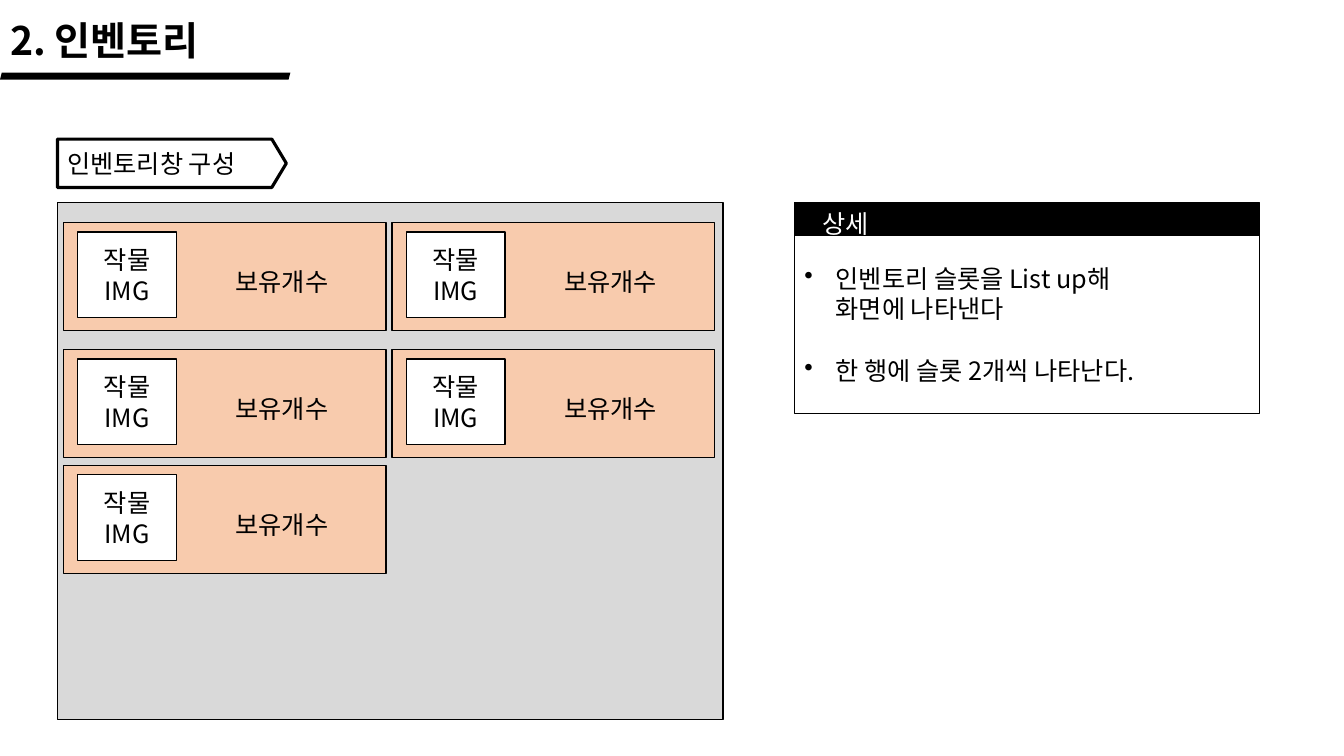
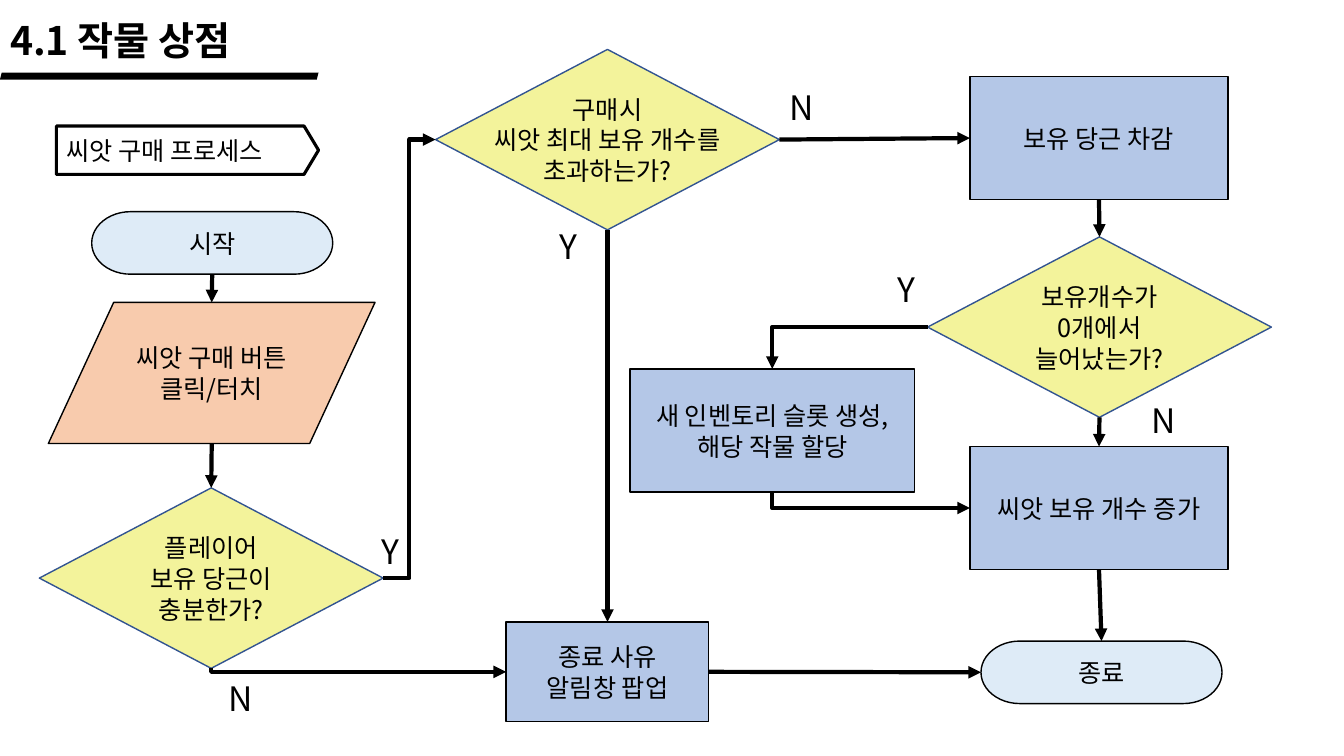
from lxml import etree
from pptx import Presentation
from pptx import util as u
from pptx.dml.color import RGBColor
from pptx.enum import shapes, text
from pptx.oxml.ns import qn

PX = 9144  # 100 px to the inch
FONT = "Noto Sans CJK KR"
HUES = {"ink": "000000", "paper": "FFFFFF", "gray": "D9D9D9", "peach": "F8CBAD",
        "sky": "DEEBF7", "blue": "B4C7E7", "lemon": "F3F39B", "navy": "325491"}
KIND = shapes.MSO_SHAPE
MID, TOP = text.MSO_ANCHOR.MIDDLE, text.MSO_ANCHOR.TOP
LEFT, CENTER = text.PP_ALIGN.LEFT, text.PP_ALIGN.CENTER

# Slide 1
COLS, ROWS, COUNT = (63, 389), (221, 347, 462), 5
CROP, STOCK = "작물 IMG", "보유개수"
DETAIL = "상세"
NOTES = "인벤토리 슬롯을 List up해\v화면에 나타낸다\n한 행에 슬롯 2개씩 나타난다."

# Slide 2: kind -> (shape, fill, line, width, height)
STEPS = {
    "end": (KIND.FLOWCHART_TERMINATOR, "sky", "ink", 239, 62),
    "ask": (KIND.FLOWCHART_DECISION, "lemon", "navy", 341, 179),
    "act": (KIND.RECTANGLE, "blue", "ink", 256, 122),
    "slot": (KIND.RECTANGLE, "blue", "ink", 282, 122),
    "popup": (KIND.RECTANGLE, "blue", "ink", 201, 99),
    "input": (KIND.FLOWCHART_DATA, "peach", "ink", 324, 140),
}
# name -> (kind, left, top, text)
NODES = {
    "start": ("end", 91, 210, "시작"),
    "click": ("input", 48, 300, "씨앗 구매 버튼 클릭/터치"),
    "afford": ("ask", 39, 484, "플레이어\n보유 당근이 충분한가?"),
    "limit": ("ask", 432, 49, "구매시\n씨앗 최대 보유 개수를\n초과하는가?"),
    "pay": ("act", 962, 76, "보유 당근 차감"),
    "first": ("ask", 920, 235, "보유개수가\n0개에서 늘어났는가?"),
    "new": ("slot", 625, 366, "새 인벤토리 슬롯 생성, 해당 작물 할당"),
    "gain": ("act", 962, 443, "씨앗 보유 개수 증가"),
    "warn": ("popup", 502, 617, "종료 사유\n알림창 팝업"),
    "stop": ("end", 973, 636, "종료"),
}
# (from, side, to, side)
FLOWS = [
    ("start", "b", "click", "t"), ("click", "b", "afford", "t"),
    ("afford", "r", "limit", "l"), ("afford", "b", "warn", "l"),
    ("limit", "r", "pay", "l"), ("limit", "b", "warn", "t"),
    ("pay", "b", "first", "t"), ("first", "l", "new", "t"),
    ("first", "b", "gain", "t"), ("new", "b", "gain", "l"),
    ("gain", "b", "stop", "t"), ("warn", "r", "stop", "l"),
]
SIDES = {"t": (0.5, 0), "b": (0.5, 1), "l": (0, 0.5), "r": (1, 0.5)}
FORKS = [("N", 217, 667), ("Y", 369, 522), ("Y", 545, 219),
         ("N", 773, 81), ("N", 1132, 392), ("Y", 880, 262)]


def emu(*vals):
    return [int(v * PX) for v in vals]


def hue(name):
    return RGBColor.from_string(HUES[name])


def write(frame, words, size=18, color="ink", align=CENTER, anchor=MID,
          wrap=True, bold=False, bullet=False):
    frame.text = words
    frame.word_wrap = wrap
    frame.auto_size = text.MSO_AUTO_SIZE.NONE
    frame.vertical_anchor = anchor
    for i, para in enumerate(frame.paragraphs):
        para.alignment = align
        para.line_spacing = u.Pt(round(size * 1.21))
        if bullet:
            props = para._p.get_or_add_pPr()
            props.set("marL", str(31 * PX))
            props.set("indent", str(-31 * PX))
            etree.SubElement(props, qn("a:buChar"), char="•")
            if i:
                para.space_before = u.Pt(22)
        font = para.font
        font.size, font.bold, font.name = u.Pt(size), bold, FONT
        font.color.rgb = hue(color)
        etree.SubElement(para._p.pPr.find(qn("a:defRPr")), qn("a:ea"), typeface=FONT)


def draw(slide, kind, box, fill, line="ink", width=1):
    shape = slide.shapes.add_shape(kind, *emu(*box))
    shape.shadow.inherit = False
    shape.fill.solid()
    shape.fill.fore_color.rgb = hue(fill)
    if line:
        shape.line.color.rgb = hue(line)
        shape.line.width = u.Pt(width)
    else:
        shape.line.fill.background()
    return shape


def label(slide, box, words, **style):
    area = slide.shapes.add_textbox(*emu(*box))
    write(area.text_frame, words, anchor=TOP, **style)


def start(deck, title, bar, tag, place):
    """Add a slide with its title, the bar below it and a pentagon tag."""
    slide = deck.slides.add_slide(deck.slide_layouts[5])
    head = slide.shapes.title
    head.left, head.top, head.width, head.height = emu(0, 11, bar + 20, 57)
    write(head.text_frame, title, size=28, align=LEFT, anchor=TOP, bold=True)
    draw(slide, KIND.PARALLELOGRAM, (0, 72, bar, 7), "ink", None)
    flag = draw(slide, KIND.PENTAGON, place, "paper", width=2.25)
    flag.adjustments[0] = 0.3
    write(flag.text_frame, tag, align=LEFT, wrap=False)
    return slide


def link(slide, a, out, b, into):
    """Draw an arrow from point a to point b, bent if its sides call for it."""
    (ax, ay), (bx, by) = a, b
    flat = out in "lr"
    turn = flat != (into in "lr")
    bent = turn or (flat and abs(ay - by) > 5)
    if turn and not flat:  # down, then right: a flipped elbow turned by 270 degrees
        mx, my, dx, dy = (ax + bx) / 2, (ay + by) / 2, (bx - ax) / 2, (by - ay) / 2
        ax, ay, bx, by = mx + dy, my - dx, mx - dy, my + dx
    kind = shapes.MSO_CONNECTOR.ELBOW if bent else shapes.MSO_CONNECTOR.STRAIGHT
    wire = slide.shapes.add_connector(kind, *emu(ax, ay, bx, by))
    wire.line.color.rgb = hue("ink")
    wire.line.width = u.Pt(3)
    props = wire._element.spPr
    if turn:
        props.find(qn("a:prstGeom")).set("prst", "bentConnector2")
        if not flat:
            props.find(qn("a:xfrm")).set("rot", "16200000")
    etree.SubElement(props.find(qn("a:ln")), qn("a:tailEnd"), type="triangle")
    etree.SubElement(props, qn("a:effectLst"))


def stock(deck):
    slide = start(deck, "2. 인벤토리", 288, "인벤토리창 구성", (57, 138, 227, 48))
    draw(slide, KIND.RECTANGLE, (57, 201, 660, 513), "gray")
    for i in range(COUNT):
        x, y = COLS[i % 2], ROWS[i // 2]
        draw(slide, KIND.RECTANGLE, (x, y, 320, 107), "peach")
        crop = draw(slide, KIND.RECTANGLE, (x + 14, y + 9, 98, 85), "paper")
        write(crop.text_frame, CROP)
        label(slide, (x + 151, y + 38, 131, 40), STOCK)
    body = draw(slide, KIND.RECTANGLE, (788, 233, 461, 177), "paper")
    write(body.text_frame, NOTES, align=LEFT, bullet=True)
    head = draw(slide, KIND.RECTANGLE, (788, 201, 461, 32), "ink")
    write(head.text_frame, DETAIL, color="paper", align=LEFT, anchor=TOP)
    head.text_frame.margin_left = 28 * PX


def shop(deck):
    slide = start(deck, "4.1 작물 상점", 316, "씨앗 구매 프로세스", (56, 125, 260, 48))
    ports = {}
    for name, (step, x, y, words) in NODES.items():
        kind, fill, line, w, h = STEPS[step]
        node = draw(slide, kind, (x, y, w, h), fill, line)
        write(node.text_frame, words, wrap=name != "limit")
        for side, (fx, fy) in SIDES.items():
            ports[name, side] = (x + w * fx, y + h * fy)
    for a, out, b, into in FLOWS:
        link(slide, ports[a, out], out, ports[b, into], into)
    for words, x, y in FORKS:
        label(slide, (x, y, 46, 50), words, size=24, align=LEFT, wrap=False)


def main():
    deck = Presentation()
    deck.slide_width, deck.slide_height = emu(1333, 750)
    stock(deck)
    shop(deck)
    deck.save("out.pptx")


if __name__ == "__main__":
    main()
